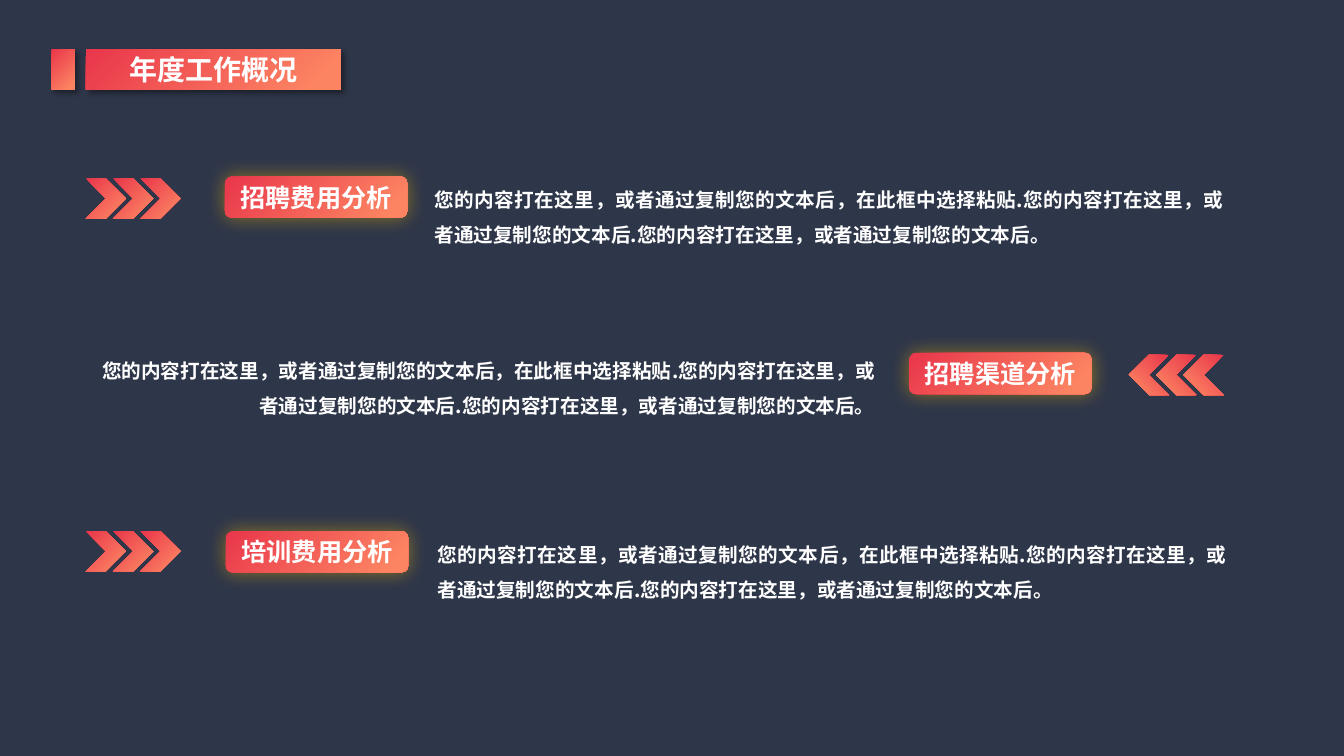
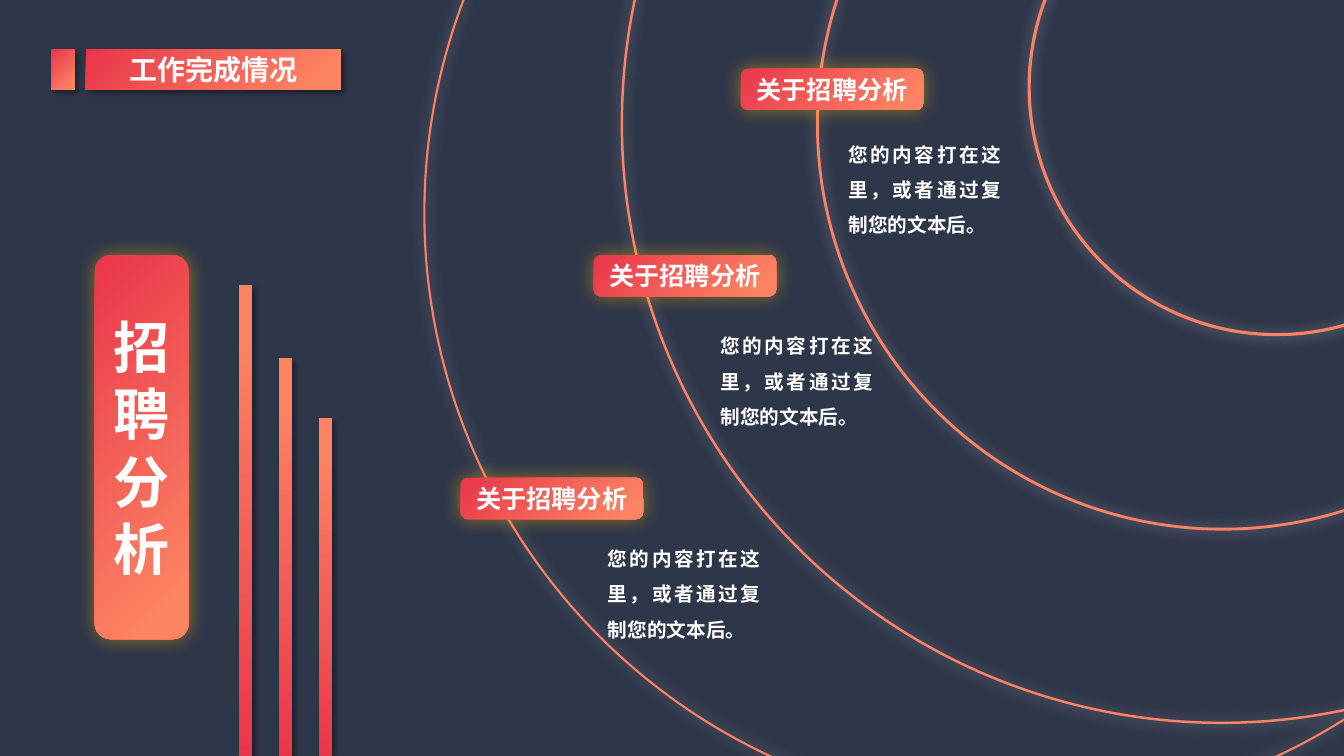
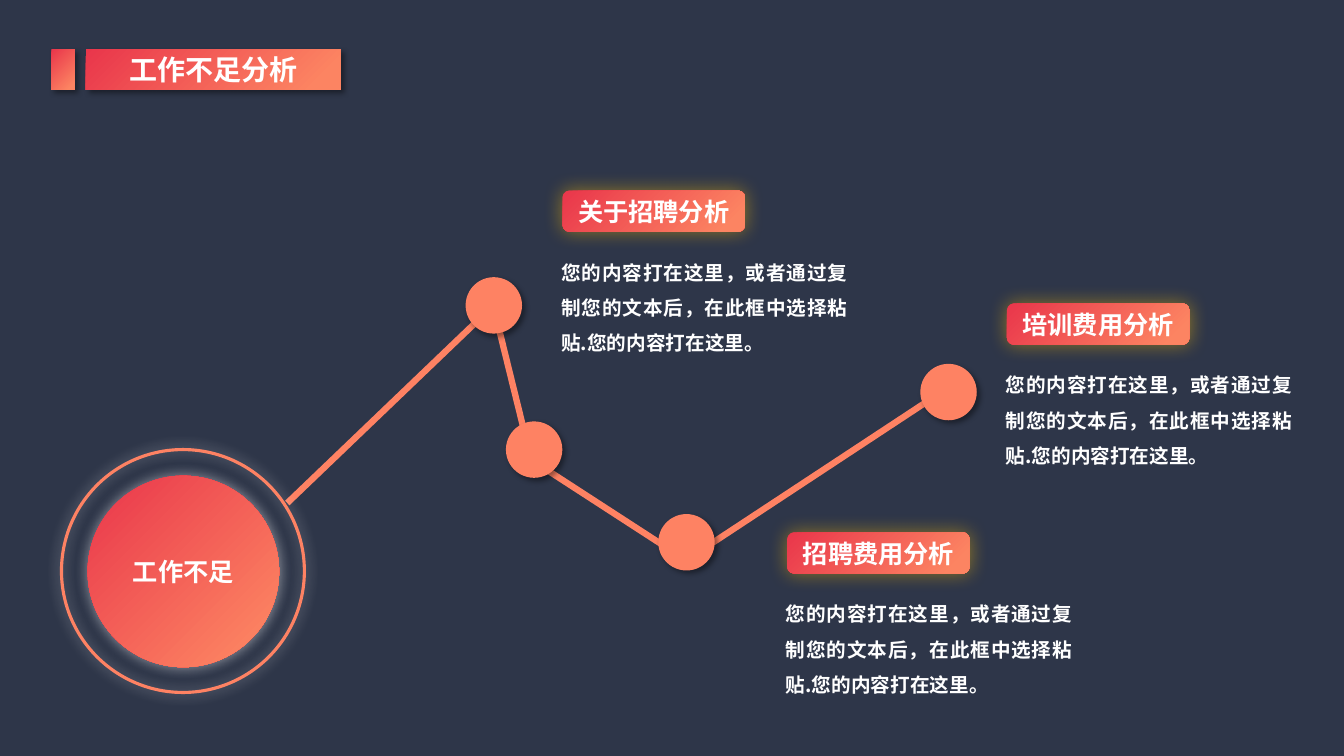
import pptx
import pptx.util
import pptx.dml.color
import pptx.enum.shapes
import pptx.enum.text
import pptx.oxml
import pptx.oxml.ns
import lxml.etree

Pt = pptx.util.Pt
RGBColor = pptx.dml.color.RGBColor
SHAPE = pptx.enum.shapes.MSO_SHAPE
ALIGN = pptx.enum.text.PP_ALIGN
ANCHOR = pptx.enum.text.MSO_ANCHOR
AUTO_SIZE = pptx.enum.text.MSO_AUTO_SIZE
qn = pptx.oxml.ns.qn

COLORS = {
    "background": "2E3649",
    "red": "E9364B",
    "peach": "FC8462",
    "orange": "FE8263",
    "gold": "FFC000",
    "white": "FFFFFF",
    "black": "000000",
}
EFFECTS = {
    "drop": {"color": "black", "alpha": 40, "blur": 4, "distance": 3, "angle": 45},
    "gold glow": {"color": "gold", "alpha": 48, "blur": 14, "distance": 0, "angle": 0},
    "ring glow": {"color": "white", "alpha": 45, "blur": 10, "distance": 0, "angle": 0},
    "disc glow": {"color": "white", "alpha": 50, "blur": 10, "distance": 0, "angle": 0},
}
BODY_FONT = "Noto Sans CJK SC"
TITLE_FONT = "Arial Narrow"
TITLE_TEXT = {"size": Pt(20), "name": TITLE_FONT, "bold": True}
LABEL_TEXT = {"size": Pt(18), "name": BODY_FONT, "bold": True}
BODY_TEXT = {"size": Pt(14), "name": BODY_FONT, "bold": True}
TALL_TEXT = {"size": Pt(40), "name": BODY_FONT, "bold": True}
CENTERED = {"alignment": ALIGN.CENTER}
JUSTIFIED = {"alignment": ALIGN.JUSTIFY, "line_spacing": 1.5}
RIGHT = {"alignment": ALIGN.RIGHT, "line_spacing": 1.5}
SHAPE_FRAME = {"word_wrap": True, "auto_size": AUTO_SIZE.NONE, "vertical_anchor": ANCHOR.MIDDLE}
BODY_FRAME = {
    "word_wrap": True, "auto_size": AUTO_SIZE.SHAPE_TO_FIT_TEXT, "vertical_anchor": ANCHOR.TOP,
    "margin_left": 0, "margin_top": 0, "margin_right": 0, "margin_bottom": 0,
}
DIAGONAL = 315
UPWARD = 90
PILL_SIZE = (130.3, 29.5)


def decorate(shape, fill=None, outline=None, effect=None):
    if fill is None:
        shape.fill.background()
    elif fill in COLORS:
        shape.fill.solid()
        shape.fill.fore_color.rgb = RGBColor.from_string(COLORS[fill])
    else:
        shape.fill.gradient()
        shape.fill.gradient_angle = fill
        for stop, (position, color) in zip(shape.fill.gradient_stops, [(0, "red"), (0.9, "peach")]):
            stop.position = position
            stop.color.rgb = RGBColor.from_string(COLORS[color])
    if outline is None:
        shape.line.fill.background()
    else:
        shape.line.color.rgb = RGBColor.from_string(COLORS["orange"])
        shape.line.width = Pt(outline)
    shape.shadow.inherit = False
    if effect:
        values = EFFECTS[effect]
        effect_list = shape.element.spPr.find(qn("a:effectLst"))
        shadow = lxml.etree.SubElement(
            effect_list, qn("a:outerShdw"), blurRad=str(Pt(values["blur"])),
            dist=str(Pt(values["distance"])), dir=str(values["angle"] * 60000),
            algn="ctr", rotWithShape="0")
        color = lxml.etree.SubElement(shadow, qn("a:srgbClr"), val=COLORS[values["color"]])
        lxml.etree.SubElement(color, qn("a:alpha"), val=str(values["alpha"] * 1000))


def write(shape, text, text_format, paragraph_format=CENTERED, frame_format=SHAPE_FRAME):
    for name, value in frame_format.items():
        setattr(shape.text_frame, name, value)
    paragraph = shape.text_frame.paragraphs[0]
    for name, value in paragraph_format.items():
        setattr(paragraph, name, value)
    run = paragraph.add_run()
    run.text = text
    for name, value in text_format.items():
        setattr(run.font, name, value)
    run.font.color.rgb = RGBColor.from_string(COLORS["white"])
    properties = run.font._element
    lxml.etree.SubElement(properties, qn("a:ea"), typeface=text_format["name"])


presentation = pptx.Presentation()
presentation.slide_width = Pt(960)
presentation.slide_height = Pt(540)
background = presentation.slide_master.background.fill
background.solid()
background.fore_color.rgb = RGBColor.from_string(COLORS["background"])

slides = []
for heading in ["年度工作概况", "工作完成情况", "工作不足分析"]:
    slide = presentation.slides.add_slide(presentation.slide_layouts[5])
    title = slide.shapes.title
    title.left, title.top, title.width, title.height = Pt(61.2), Pt(35.3), Pt(182.2), Pt(28.8)
    decorate(title, DIAGONAL, effect="drop")
    write(title, heading, TITLE_TEXT)
    accent = slide.shapes.add_shape(SHAPE.RECTANGLE, Pt(36.7), Pt(35.3), Pt(16.6), Pt(28.8))
    decorate(accent, DIAGONAL, effect="drop")
    slides.append(slide)
overview, completion, shortfall = slides

pills = []
bodies = []

long_text = "您的内容打在这里，或者通过复制您的文本后，在此框中选择粘贴.您的内容打在这里，或者通过复制您的文本后.您的内容打在这里，或者通过复制您的文本后。"
overview_rows = [
    ("招聘费用分析", 61.2, False, (160.6, 126), (310.3, 126), JUSTIFIED),
    ("招聘渠道分析", 806.4, True, (649.4, 252), (61.2, 247.7), RIGHT),
    ("培训费用分析", 61.2, False, (161.3, 379.4), (312.5, 379.4), JUSTIFIED),
]
for row, (label, chevron_left, flipped, pill_at, body_at, paragraph_format) in enumerate(overview_rows):
    for column in range(3):
        chevron = overview.shapes.add_shape(
            SHAPE.CHEVRON, Pt(chevron_left + column * 19.5), Pt(127.4 + row * 126), Pt(28.8), Pt(28.8))
        decorate(chevron, DIAGONAL)
        if flipped:
            chevron.element.spPr.find(qn("a:xfrm")).set("flipH", "1")
    pills.append((overview, label, pill_at))
    bodies.append((overview, long_text, body_at, (563.8, 48.2), paragraph_format))

for left, top, diameter, width in [
    (583.9, -200.9, 578.9, 2),
    (735.1, -114.5, 353.5, 2.25),
    (444.2, -339.8, 856.1, 1.75),
    (303.1, -275.8, 856.1, 1.5),
]:
    orbit = completion.shapes.add_shape(SHAPE.OVAL, Pt(left), Pt(top), Pt(diameter), Pt(diameter))
    decorate(orbit, outline=width, effect="ring glow")

short_text = "您的内容打在这里，或者通过复制您的文本后。"
for pill_at, body_at in [
    ((529.2, 49), (606.2, 93.6)),
    ((424.1, 182.2), (514.8, 230.4)),
    ((329, 341.3), (434.2, 382.3)),
]:
    pills.append((completion, "关于招聘分析", pill_at))
    bodies.append((completion, short_text, body_at, (108.7, 73.4), JUSTIFIED))

tall_label = completion.shapes.add_shape(SHAPE.ROUNDED_RECTANGLE, Pt(67.7), Pt(182.2), Pt(67), Pt(274.3))
decorate(tall_label, DIAGONAL, effect="gold glow")
write(tall_label, "招聘分析", TALL_TEXT)

for column, top in enumerate([203.8, 255.6, 298.4]):
    bar = completion.shapes.add_shape(
        SHAPE.RECTANGLE, Pt(170.5 + column * 28.5), Pt(top), Pt(9.6), Pt(540 - top))
    decorate(bar, UPWARD, effect="drop")

for ends in [
    (205.2, 359.3, 357.1, 213.8),
    (352.1, 217.4, 376.6, 316.8),
    (383.8, 331.2, 488.2, 398.9),
    (497.5, 395.3, 676.8, 277.2),
]:
    link = shortfall.shapes.add_connector(
        pptx.enum.shapes.MSO_CONNECTOR.STRAIGHT, *[Pt(value) for value in ends])
    link.line.color.rgb = RGBColor.from_string(COLORS["orange"])
    link.line.width = Pt(4.5)
    lxml.etree.SubElement(link.element.spPr, qn("a:effectLst"))

for left, top in [(332.6, 198), (361.4, 301), (470.2, 367.2), (657.4, 259.9)]:
    dot = shortfall.shapes.add_shape(SHAPE.OVAL, Pt(left), Pt(top), Pt(40.3), Pt(40.3))
    decorate(dot, "orange", effect="drop")

disc = shortfall.shapes.add_shape(SHAPE.OVAL, Pt(62.6), Pt(339.8), Pt(136.8), Pt(136.8))
decorate(disc, DIAGONAL, effect="disc glow")
write(disc, "工作不足", LABEL_TEXT)
ring = shortfall.shapes.add_shape(SHAPE.OVAL, Pt(43.9), Pt(321.1), Pt(173.5), Pt(173.5))
decorate(ring, outline=2.25, effect="ring glow")

medium_text = "您的内容打在这里，或者通过复制您的文本后，在此框中选择粘贴.您的内容打在这里。"
for label, left, top in [
    ("关于招聘分析", 401.8, 136.1),
    ("招聘费用分析", 562.3, 380.2),
    ("培训费用分析", 719.3, 216.7),
]:
    pills.append((shortfall, label, (left, top)))
    bodies.append((shortfall, medium_text, (left - 0.9, top + 41.6), (204.5, 73.4), JUSTIFIED))

for slide, label, position in pills:
    pill = slide.shapes.add_shape(
        SHAPE.ROUNDED_RECTANGLE, *[Pt(value) for value in position + PILL_SIZE])
    decorate(pill, DIAGONAL, effect="gold glow")
    write(pill, label, LABEL_TEXT)

for slide, text, position, size, paragraph_format in bodies:
    body = slide.shapes.add_textbox(*[Pt(value) for value in position + size])
    write(body, text, BODY_TEXT, paragraph_format, BODY_FRAME)

presentation.save("out.pptx")
